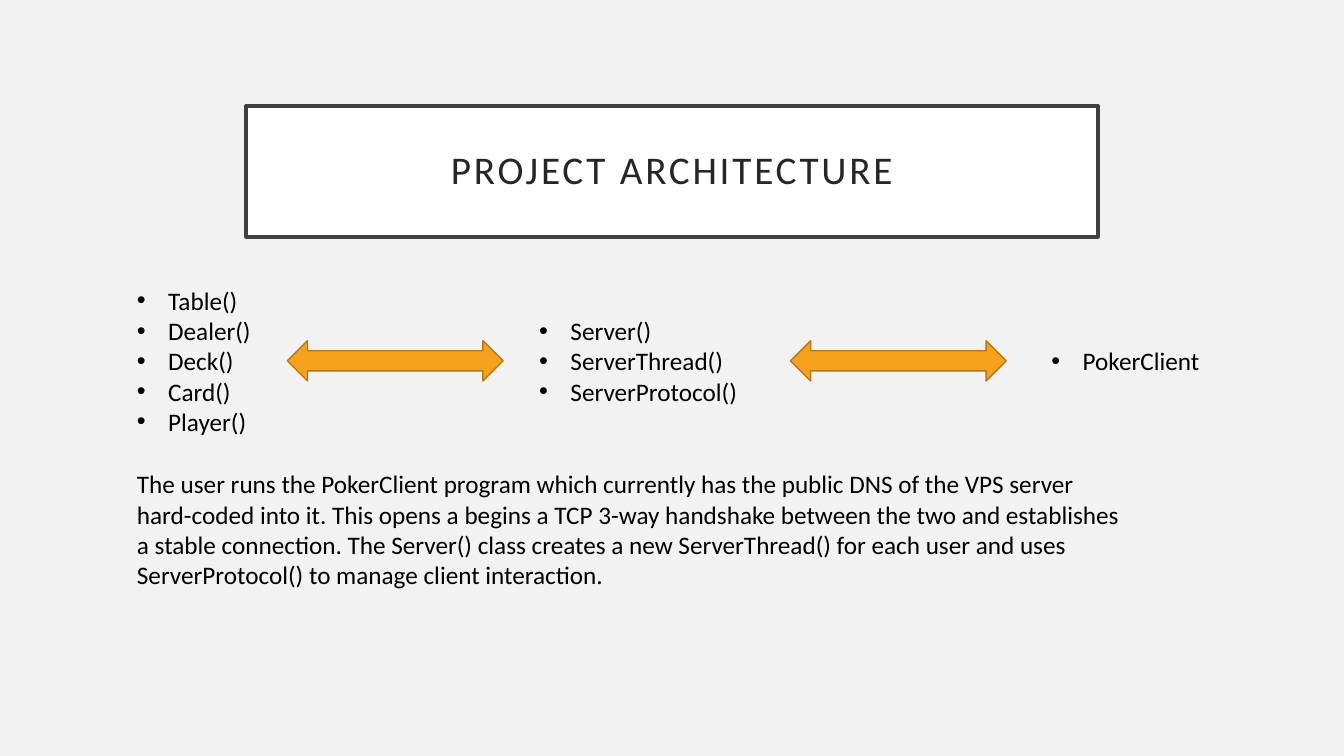
import pptx
import pptx.dml.color
import pptx.enum.shapes
import pptx.enum.text
import pptx.oxml
import pptx.oxml.ns
import pptx.util
from dataclasses import dataclass

Inches = pptx.util.Inches
Pt = pptx.util.Pt
rgb = pptx.dml.color.RGBColor.from_string
Shapes = pptx.enum.shapes.MSO_SHAPE
Text = pptx.enum.text


@dataclass
class Theme:
    font: str = "Calibri"
    title_size: int = 28
    body_size: int = 18
    background: str = "F2F2F2"
    panel: str = "FFFFFF"
    frame: str = "404040"
    title: str = "262626"
    body: str = "000000"
    arrow: str = "F6A21D"
    arrow_edge: str = "B67815"


def apply(target, values):
    for name, value in values.items():
        setattr(target, name, value)


class ArchitectureSlide:
    """Draws the parts of the slide in one theme."""

    def __init__(self, deck, theme):
        self.theme = theme
        self.slide = deck.slides.add_slide(deck.slide_layouts[6])
        fill = self.slide.background.fill
        fill.solid()
        fill.fore_color.rgb = rgb(theme.background)

    def style(self, paragraph, size, color):
        apply(paragraph.font, {"name": self.theme.font, "size": Pt(size)})
        paragraph.font.color.rgb = rgb(color)

    def shape(self, kind, left, top, width, height, fill, edge, weight):
        shape = self.slide.shapes.add_shape(
            kind, Inches(left), Inches(top), Inches(width), Inches(height))
        shape.shadow.inherit = False
        shape.fill.solid()
        shape.fill.fore_color.rgb = rgb(fill)
        shape.line.color.rgb = rgb(edge)
        shape.line.width = Pt(weight)
        return shape

    def title(self, wording, left, top, width, height):
        theme = self.theme
        panel = self.shape(Shapes.RECTANGLE, left, top, width, height,
                           theme.panel, theme.frame, 2.5)
        margins = dict.fromkeys(
            ("margin_left", "margin_top", "margin_right", "margin_bottom"), Inches(0.2))
        apply(panel.text_frame, {"word_wrap": True,
                                 "vertical_anchor": Text.MSO_ANCHOR.MIDDLE, **margins})
        heading = panel.text_frame.paragraphs[0]
        apply(heading, {"alignment": Text.PP_ALIGN.CENTER, "line_spacing": 0.9})
        run = heading.add_run()
        run.text = wording
        self.style(run, theme.title_size, theme.title)
        run.font._element.set("spc", "200")

    def arrow(self, left, middle, width=2.14, height=0.4):
        self.shape(Shapes.LEFT_RIGHT_ARROW, left, middle - height / 2, width, height,
                   self.theme.arrow, self.theme.arrow_edge, 1)

    def lines(self, wording, left, middle, width, bulleted=False):
        height = 0.1 + 0.3 * len(wording)
        box = self.slide.shapes.add_textbox(
            Inches(left), Inches(middle - height / 2), Inches(width), Inches(height))
        frame = box.text_frame
        apply(frame, {"word_wrap": False,
                      "auto_size": Text.MSO_AUTO_SIZE.SHAPE_TO_FIT_TEXT})
        frame.text = "\n".join(wording)
        for paragraph in frame.paragraphs:
            if bulleted:
                self.bullet(paragraph)
            self.style(paragraph, self.theme.body_size, self.theme.body)

    def bullet(self, paragraph):
        properties = paragraph._p.get_or_add_pPr()
        indent = Inches(0.31)
        properties.set("marL", str(indent))
        properties.set("indent", str(-indent))
        for tag, key, value in (("buFont", "typeface", "Arial"), ("buChar", "char", "•")):
            mark = pptx.oxml.parse_xml(
                f'<a:{tag} {pptx.oxml.ns.nsdecls("a")} {key}="{value}"/>')
            properties.append(mark)


def main():
    deck = pptx.Presentation()
    apply(deck, {"slide_width": Inches(13.33), "slide_height": Inches(7.5)})
    page = ArchitectureSlide(deck, Theme())
    page.title("PROJECT ARCHITECTURE", 2.44, 1.05, 8.45, 1.3)

    flow_middle = 3.58
    components = (
        (1.26, 1.38, ["Table()", "Dealer()", "Deck()", "Card()", "Player()"]),
        (5.25, 2.24, ["Server()", "ServerThread()", "ServerProtocol()"]),
        (10.33, 1.73, ["PokerClient"]),
    )
    for left, width, classes in components:
        page.lines(classes, left, flow_middle, width, bulleted=True)
    for left in (2.85, 7.84):
        page.arrow(left, flow_middle)

    explanation = [
        "The user runs the PokerClient program which currently has the public DNS of the VPS server",
        "hard-coded into it. This opens a begins a TCP 3-way handshake between the two and establishes",
        "a stable connection. The Server() class creates a new ServerThread() for each user and uses",
        "ServerProtocol() to manage client interaction.",
    ]
    page.lines(explanation, 1.26, 5.25, 10.01)
    deck.save("out.pptx")


if __name__ == "__main__":
    main()
